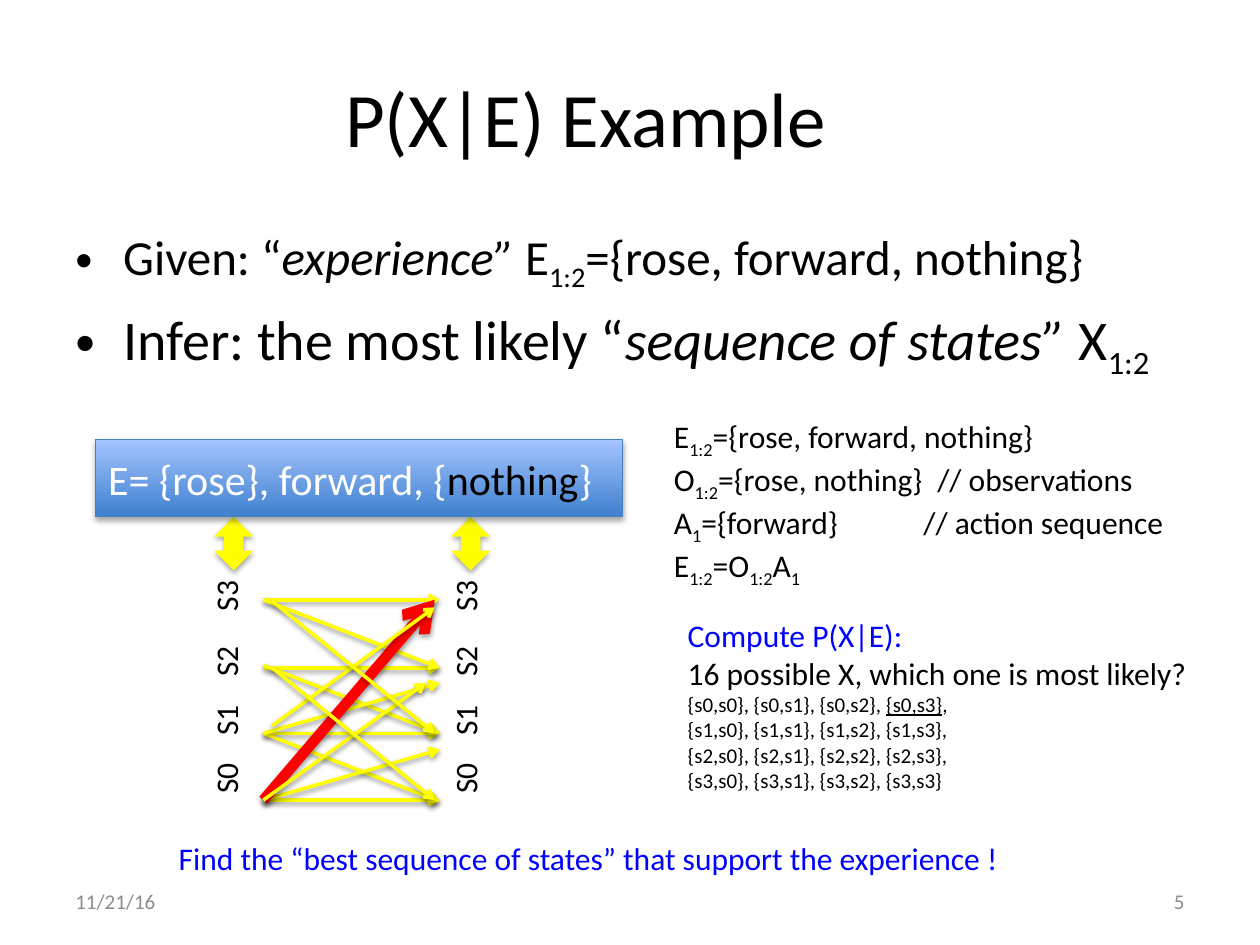
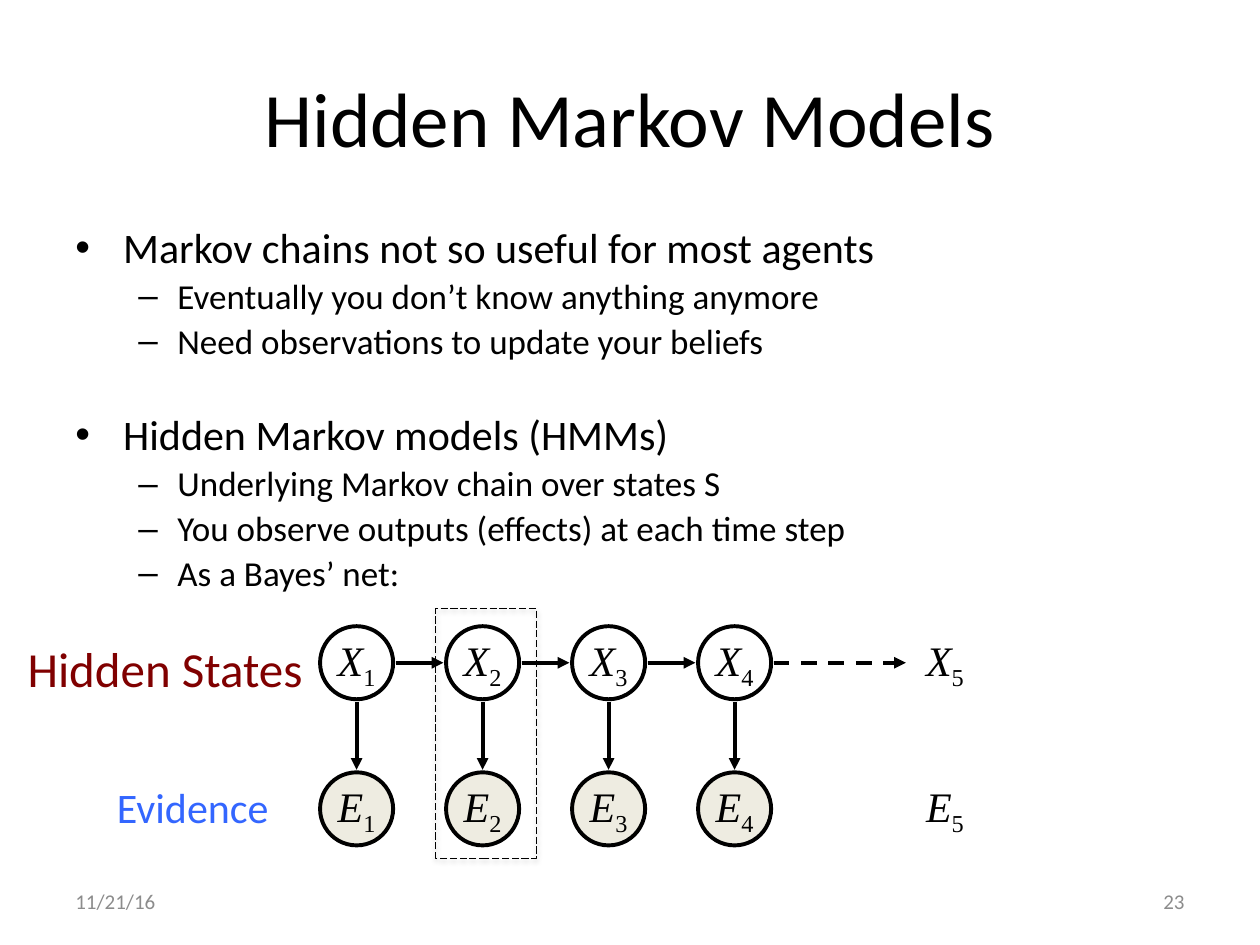
from dataclasses import dataclass

from lxml import etree
from pptx import Presentation
from pptx.dml.color import RGBColor
from pptx.enum import dml, shapes, text
from pptx.oxml import ns
from pptx.util import Inches, Pt

COLORS = {
    "ink": "000000", "paper": "FFFFFF", "footer": "8C8C8C", "link": "0000FF",
    "yellow": "FFFF00", "red": "FF0000", "band_dark": "3F80CE",
    "band_light": "A4C4FF", "band_line": "4B7EBC", "evidence": "EEECE1",
    "maroon": "800000", "sky": "3366FF",
}
BODY_FONT, MATH_FONT = "Calibri", "Times New Roman"
DATE = "11/21/16"
INSETS = (0.1, 0.05, 0.1, 0.05)


@dataclass
class Line:
    """One paragraph: runs are strings or (string, format) pairs."""
    runs: list
    size: float = 18
    color: str = "ink"
    before: float = 0
    spacing: float = None
    bullet: str = None
    margin: float = 0
    hanging: float = 0
    tabs: tuple = ()


def rgb(name):
    return RGBColor.from_string(COLORS[name])


def child(parent, tag, **attributes):
    return etree.SubElement(parent, ns.qn(tag), {k: str(v) for k, v in attributes.items()})


def sub(string):
    return string, {"baseline": -25000}


def italic(string):
    return string, {"italic": True}


def write_text(shape, lines, font=BODY_FONT, anchor="TOP", align="LEFT", wrap=True,
               insets=INSETS, vertical=None):
    frame = shape.text_frame
    frame.word_wrap = wrap
    frame.vertical_anchor = getattr(text.MSO_ANCHOR, anchor)
    for side, inset in zip(("left", "top", "right", "bottom"), insets):
        setattr(frame, f"margin_{side}", Inches(inset))
    if vertical:
        shape.element.find(".//" + ns.qn("a:bodyPr")).set("vert", vertical)
    for index, line in enumerate(lines):
        paragraph = frame.add_paragraph() if index else frame.paragraphs[0]
        properties = paragraph._p.get_or_add_pPr()
        if line.bullet:
            properties.set("marL", str(Inches(line.margin)))
            properties.set("indent", str(-Inches(line.hanging)))
            child(properties, "a:buFont", typeface="Arial")
            child(properties, "a:buChar", char=line.bullet)
        if line.tabs:
            stops = child(properties, "a:tabLst")
            for stop in line.tabs:
                child(stops, "a:tab", pos=Inches(stop), algn="l")
        paragraph.alignment = getattr(text.PP_ALIGN, align)
        paragraph.space_before = Pt(line.before)
        if line.spacing:
            paragraph.line_spacing = line.spacing
        for item in line.runs:
            string, style = (item, {}) if isinstance(item, str) else item
            run = paragraph.add_run()
            run.text = string
            run.font.name, run.font.size = font, Pt(line.size)
            run.font.italic = style.get("italic")
            run.font.underline = style.get("underline")
            run.font.color.rgb = rgb(style.get("color", line.color))
            if "baseline" in style:
                run._r.get_or_add_rPr().set("baseline", str(style["baseline"]))


def add_text(slide, box, lines, **formats):
    write_text(slide.shapes.add_textbox(*map(Inches, box)), lines, **formats)


def add_shadow(shape, distance=1.8, alpha=35):
    effects = child(shape.element.spPr, "a:effectLst")
    shadow = child(effects, "a:outerShdw", blurRad=Pt(3.1), dist=Pt(distance),
                   dir=5400000, rotWithShape=0)
    child(child(shadow, "a:srgbClr", val=COLORS["ink"]), "a:alpha", val=alpha * 1000)


def add_shape(slide, kind, box, fill=None, line="ink", width=0.75, shadow=False):
    shape = slide.shapes.add_shape(getattr(shapes.MSO_SHAPE, kind), *map(Inches, box))
    if fill:
        shape.fill.solid()
        shape.fill.fore_color.rgb = rgb(fill)
    else:
        shape.fill.background()
    shape.line.color.rgb = rgb(line)
    shape.line.width = Pt(width)
    if shadow:
        add_shadow(shape)
    else:
        shape.shadow.inherit = False
    return shape


def add_arrow(slide, start, end, color="ink", width=2.25, head="triangle",
              dashed=False, shadow=False):
    arrow = slide.shapes.add_connector(shapes.MSO_CONNECTOR.STRAIGHT,
                                       *map(Inches, (*start, *end)))
    arrow.line.color.rgb = rgb(color)
    arrow.line.width = Pt(width)
    if dashed:
        arrow.line.dash_style = dml.MSO_LINE.DASH
    child(arrow.line._get_or_add_ln(), "a:tailEnd", type=head)
    if shadow:
        add_shadow(arrow, distance=1.6, alpha=38)
    else:
        child(arrow.element.spPr, "a:effectLst")


def start_slide(presentation, title, number, title_shift=0):
    """Add a blank slide with the shared title, date and page number."""
    slide = presentation.slides.add_slide(presentation.slide_layouts[6])
    add_text(slide, (0.5, 0.3, 9 - title_shift, 1.25), [Line([title], 44)],
             anchor="MIDDLE", align="CENTER")
    for left, string, align in ((0.5, DATE, "LEFT"), (7.17, number, "RIGHT")):
        add_text(slide, (left, 6.95, 2.33, 0.4), [Line([string], 12, "footer")],
                 anchor="MIDDLE", align=align)
    return slide


def bullet(runs, size, before=0, spacing=None):
    return Line(runs, size, before=before, spacing=spacing, bullet="•",
                margin=0.38, hanging=0.38)


def dash(string):
    return Line([string], 20, before=4, spacing=0.9, bullet="–", margin=0.81, hanging=0.31)


def add_state_lattice(slide, left, top):
    """Two columns of states joined by every considered transition."""
    rows = (0, 0.54, 1.06, 1.59)
    for column in (-0.5, 1.4):
        add_text(slide, (left + column, top - 0.18, 0.5, 1.82),
                 [Line(["S0\tS1\tS2\tS3"], tabs=(0.46, 0.93, 1.45))],
                 vertical="vert270", insets=(0.1, 0, 0.1, 0.1))
    level = [((0, y), (1.4, y)) for y in rows]
    falling = [((0, y), (1.4, y + 0.54)) for y in (0, 0.52, 1.06)]
    rising = [((0, y), (1.4, y - 0.4)) for y in (1.59, 1.06)]
    best = ((0, 1.59), (1.36, 0))
    two_up = [((0, 1.59), (1.29, 0.66)), ((0.07, 1), (1.36, 0.06))]
    two_down = [((0.07, y), (1.36, y + 1.05)) for y in (0.54, 0.01)]
    for start, end in level + falling + rising + [best] + two_up + two_down:
        color, width = ("red", 6) if (start, end) == best else ("yellow", 2)
        add_arrow(slide, (left + start[0], top + start[1]), (left + end[0], top + end[1]),
                  color, width, head="arrow", shadow=True)


def add_experience_band(slide, left, top, width, height):
    for offset in (0.95, 2.83):
        add_shape(slide, "UP_DOWN_ARROW", (left + offset, top + height + 0.01, 0.29, 0.41),
                  "yellow", "yellow", shadow=True)
    band = add_shape(slide, "RECTANGLE", (left, top, width, height),
                     line="band_line", shadow=True)
    band.fill.gradient()
    band.fill.gradient_angle = 90
    for stop, color in zip(band.fill.gradient_stops, ("band_dark", "band_light")):
        stop.color.rgb = rgb(color)
    for position, stop in enumerate(band.fill.gradient_stops):
        stop.position = position
    write_text(band, [Line(["E= {rose}, forward, {", ("nothing", {"color": "ink"}), "}"],
                           24, "paper")], anchor="MIDDLE")


def add_inference_notes(slide, left, top):
    add_text(slide, (left, top, 4.15, 1.31), [
        Line(["E", sub("1:2"), "={rose, forward, nothing}"]),
        Line(["O", sub("1:2"), "={rose, nothing}\t// observations"], tabs=(2.09,)),
        Line(["A", sub("1"), "={forward}\t// action sequence"], tabs=(1.98,)),
        Line(["E", sub("1:2"), "=O", sub("1:2"), "A", sub("1")]),
    ], wrap=False)
    pairs = [[f"{{s{i},s{j}}}" for j in range(4)] for i in range(4)]
    sequences = [Line([", ".join(row) + ("," if row is not pairs[-1] else "")], 12)
                 for row in pairs]
    sequences[0].runs = [", ".join(pairs[0][:3]) + ", ",
                         (pairs[0][3], {"underline": True}), ","]
    add_text(slide, (left + 0.11, top + 1.58, 4.21, 1.51), [
        Line(["Compute P(X|E):"], color="link"),
        Line(["16 possible X, which one is most likely?"]),
        *sequences,
    ], wrap=False)


def add_example_slide(presentation):
    slide = start_slide(presentation, "P(X|E) Example", "5", title_shift=0.7)
    add_text(slide, (0.5, 1.75, 9.2, 1.5), [
        bullet(["Given: “", italic("experience” "), "E", sub("1:2"),
                "={rose, forward, nothing}"], 28),
        bullet(["Infer: the most likely “", italic("sequence of states”"), " X",
                sub("1:2")], 32, before=6.4),
    ])
    add_state_lattice(slide, 2.09, 4.76)
    add_experience_band(slide, 0.76, 3.49, 4.18, 0.61)
    add_inference_notes(slide, 5.25, 3.26)
    add_text(slide, (1.32, 6.61, 6.82, 0.4), [
        Line(["Find the “best sequence of states” that support the experience !"],
             color="link")], wrap=False)


def add_bayes_net(slide, left, top):
    """Chain of hidden states, each with its evidence below."""
    size, drop, pitch, gap = 0.58, 1.16, 1, 0.02
    middle = size / 2
    columns = [left + pitch * i for i in range(4)] + [left + 4.67]
    for number, x in enumerate(columns, 1):
        last = number == len(columns)
        for letter, y, fill in (("X", top, "paper"), ("E", top + drop, "evidence")):
            node = add_shape(slide, "OVAL", (x, y, size, size), "paper" if last else fill,
                             "paper" if last else "ink", 2.25)
            write_text(node, [Line([italic(letter), sub(str(number))], 24)],
                       font=MATH_FONT, anchor="MIDDLE", align="CENTER", wrap=False)
        if not last:
            add_arrow(slide, (x + middle, top + size + gap), (x + middle, top + drop - gap))
            add_arrow(slide, (x + size + gap, top + middle),
                      (columns[number] - gap, top + middle), dashed=number == 4)
    for x, y, box, string, points, color in (
            (-2.42, 0.05, (2.42, 0.57), "Hidden States", 28, "maroon"),
            (-1.71, 1.18, (1.43, 0.5), "Evidence", 24, "sky")):
        add_text(slide, (left + x, top + y, *box), [Line([string], points, color)],
                 wrap=False)
    time_step = add_shape(slide, "RECTANGLE", (left + 0.92, top - 0.14, 0.8, 1.98),
                          width=0.5, shadow=True)
    time_step.line.dash_style = dml.MSO_LINE.LONG_DASH


def add_models_slide(presentation):
    slide = start_slide(presentation, "Hidden Markov Models", "23")
    add_text(slide, (0.5, 1.75, 9, 3.05), [
        bullet(["Markov chains not so useful for most agents"], 24, spacing=0.9),
        dash("Eventually you don’t know anything anymore"),
        dash("Need observations to update your beliefs"),
        bullet(["Hidden Markov models (HMMs)"], 24, before=30, spacing=0.9),
        dash("Underlying Markov chain over states S"),
        dash("You observe outputs (effects) at each time step"),
        dash("As a Bayes’ net:"),
    ])
    add_bayes_net(slide, 2.54, 4.97)


def main():
    presentation = Presentation()
    presentation.slide_width, presentation.slide_height = Inches(10), Inches(7.5)
    add_example_slide(presentation)
    add_models_slide(presentation)
    presentation.save("out.pptx")


if __name__ == "__main__":
    main()
